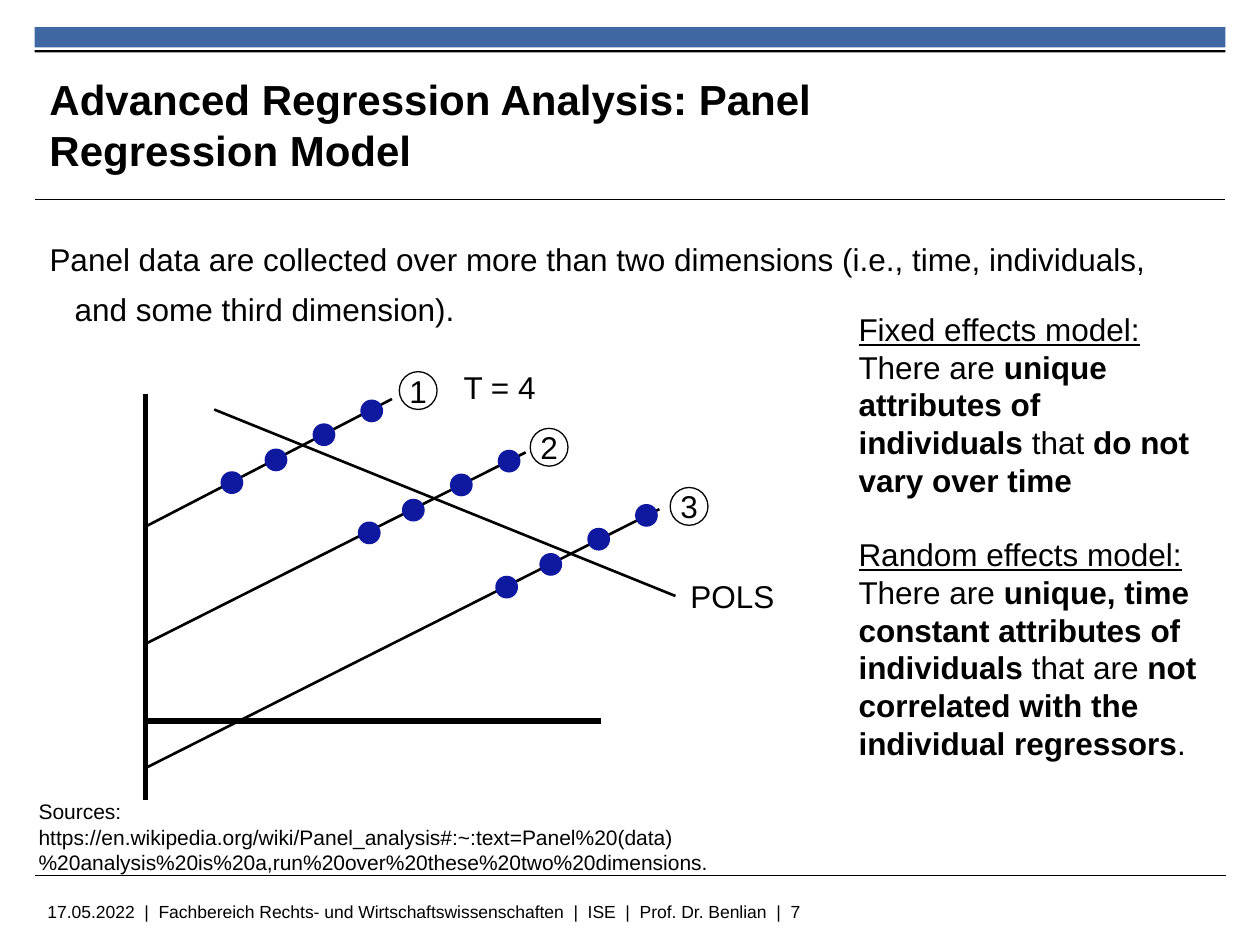
from lxml import etree
from pptx import Presentation
from pptx.dml.color import RGBColor
from pptx.enum import shapes, text
from pptx.oxml import ns
from pptx.util import Pt

BLACK = RGBColor(0x00, 0x00, 0x00)
BAND_BLUE = RGBColor(0x3F, 0x68, 0xA3)
DOT_BLUE = RGBColor(0x0F, 0x19, 0xA0)
FONT = "Arial"
BLANK_LAYOUT = 6

SOURCES = [
    "Sources:",
    "https://en.wikipedia.org/wiki/Panel_analysis#:~:text=Panel%20(data)"
    "%20analysis%20is%20a,run%20over%20these%20two%20dimensions.",
]
# Each paragraph is a list of (text, style); style is "", "b" or "u".
EFFECTS = [
    [("Fixed effects model:", "u")],
    [("There are ", ""), ("unique attributes of individuals ", "b"),
     ("that ", ""), ("do not vary over time", "b")],
    [("Random effects model:", "u")],
    [("There are ", ""), ("unique, time constant attributes of individuals ", "b"),
     ("that are ", ""), ("not correlated with the individual regressors", "b"),
     (".", "")],
]
# Per individual: intercept, line end, first dot, label circle
INDIVIDUALS = [
    (94, (141, 21), (43, 62.3), (145.2, 5.4)),
    (161, (217.4, 51.5), (121.5, 91), (220, 37.8)),
    (232, (293.8, 84), (200, 122), (300, 71.6)),
]
DOT_STEPS = [(0, 0), (25.2, -13), (52.6, -27.4), (79.9, -41)]


def write(shape, paras, size=18, bold=False, insets=(7.2, 3.6), wrap=True,
          anchor=text.MSO_ANCHOR.TOP, align=text.PP_ALIGN.LEFT):
    """Fill a shape with paragraphs, each a string or a list of (text, style)."""
    frame = shape.text_frame
    frame.word_wrap = wrap
    frame.vertical_anchor = anchor
    frame.margin_left = frame.margin_right = Pt(insets[0])
    frame.margin_top = frame.margin_bottom = Pt(insets[1])
    for index, spans in enumerate(paras):
        para = frame.paragraphs[0] if index == 0 else frame.add_paragraph()
        para.alignment = align
        for words, style in [(spans, "")] if isinstance(spans, str) else spans:
            span = para.add_run()
            span.text = words
            span.font.name = FONT
            span.font.size = Pt(size)
            span.font.color.rgb = BLACK
            span.font.bold = bold or style == "b"
            span.font.underline = style == "u"
    return frame


def add_text(page, box, paras, **style):
    return write(page.shapes.add_textbox(*map(Pt, box)), paras, **style)


def add_line(page, start, end, width):
    line = page.shapes.add_connector(
        shapes.MSO_CONNECTOR.STRAIGHT, *map(Pt, (*start, *end)))
    line.line.color.rgb = BLACK
    line.line.width = Pt(width)
    etree.SubElement(line._element.spPr, ns.qn("a:effectLst"))


def add_solid(page, kind, box, fill=None):
    """Draw a filled shape, or an outlined one when no fill is given."""
    shape = page.shapes.add_shape(kind, *map(Pt, box))
    shape.shadow.inherit = False
    if fill is None:
        shape.fill.background()
        shape.line.color.rgb = BLACK
        shape.line.width = Pt(0.75)
    else:
        shape.fill.solid()
        shape.fill.fore_color.rgb = fill
        shape.line.fill.background()
    return shape


def add_header(page, left, top, width):
    rect = shapes.MSO_SHAPE.RECTANGLE
    add_solid(page, rect, (left, top, width, 11.5), BAND_BLUE)
    add_solid(page, rect, (left, top + 13, width, 1.4), BLACK)
    add_line(page, (left, top + 98.5), (left + width, top + 98.5), 0.6)
    add_text(page, (left + 8.5, top + 22.5, 523, 66),
             ["Advanced Regression Analysis: Panel Regression Model"],
             size=24, bold=True, insets=(0, 0), anchor=text.MSO_ANCHOR.MIDDLE)


def add_footer(page, left, top, width):
    add_line(page, (left, top), (left + width, top), 0.6)
    add_text(page, (left, top + 10.8, 567, 18),
             ["17.05.2022  |  Fachbereich Rechts- und Wirtschaftswissenschaften"
              "  |  ISE  |  Prof. Dr. Benlian  |  7"], size=10)


def add_definition(page, box):
    frame = add_text(page, box, [
        "Panel data are collected over more than two dimensions "
        "(i.e., time, individuals, and some third dimension)."], insets=(0, 3.6))
    para = frame.paragraphs[0]
    para.line_spacing = 1.3
    para.space_after = Pt(2.3)
    properties = para._p.get_or_add_pPr()
    properties.set("marL", str(Pt(14.4)))
    properties.set("indent", str(-Pt(14.4)))


def add_effects(page, box):
    frame = add_text(page, box, EFFECTS)
    frame.paragraphs[2].space_before = Pt(20.7)


def add_diagram(page, left, top):
    """Draw three individual regression lines crossed by the pooled line."""
    def at(x, y):
        return left + x, top + y

    oval = shapes.MSO_SHAPE.OVAL
    add_line(page, at(0, 18), at(0, 250), 3)
    add_line(page, at(0, 205), at(260.5, 205), 3)
    for number, (intercept, end, dot, label) in enumerate(INDIVIDUALS, 1):
        add_line(page, at(0, intercept), at(*end), 1.5)
        circle = add_solid(page, oval, (*at(*label), 21.6, 21.6))
        write(circle, [str(number)], insets=(0, 0), wrap=False,
              anchor=text.MSO_ANCHOR.MIDDLE, align=text.PP_ALIGN.CENTER)
        for dx, dy in DOT_STEPS:
            add_solid(page, oval, (*at(dot[0] + dx, dot[1] + dy), 13, 13), DOT_BLUE)
    add_line(page, at(39.4, 27), at(303, 133.6), 1.5)
    add_text(page, (*at(174.8, -0.4), 62.6, 28.8), ["T = 4"])
    add_text(page, (*at(304.4, 119.2), 69, 28.8), ["POLS"])


def main():
    deck = Presentation()
    deck.slide_width, deck.slide_height = Pt(720), Pt(540)
    page = deck.slides.add_slide(deck.slide_layouts[BLANK_LAYOUT])
    add_header(page, 19.8, 15.6, 680.4)
    add_footer(page, 20, 500.4, 680.4)
    add_definition(page, (28.3, 127.4, 660, 62.6))
    add_text(page, (15, 453, 657, 51), SOURCES, size=12)
    add_diagram(page, 83, 207)
    add_effects(page, (483.5, 173.5, 212.5, 269))
    deck.save("out.pptx")


if __name__ == "__main__":
    main()
